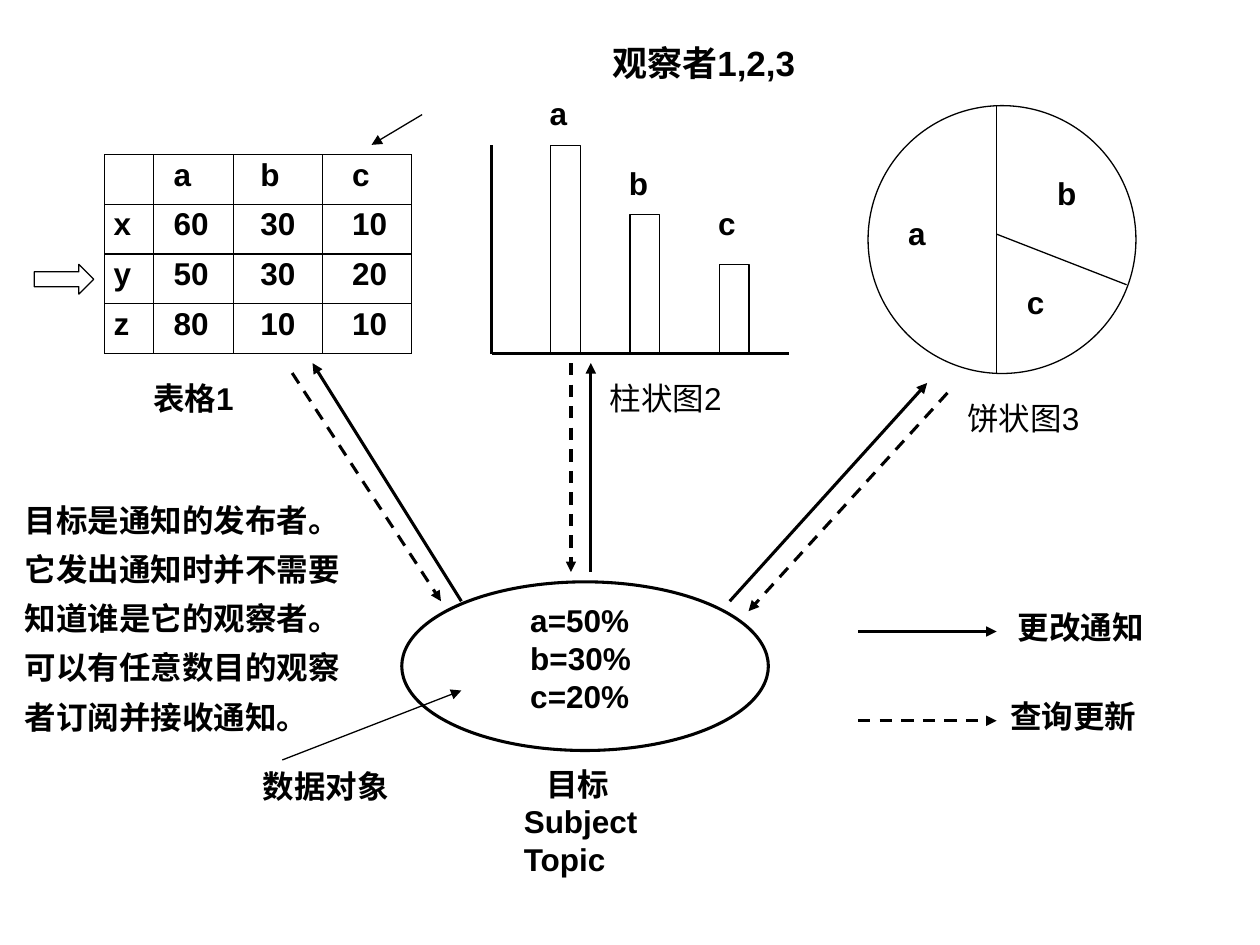
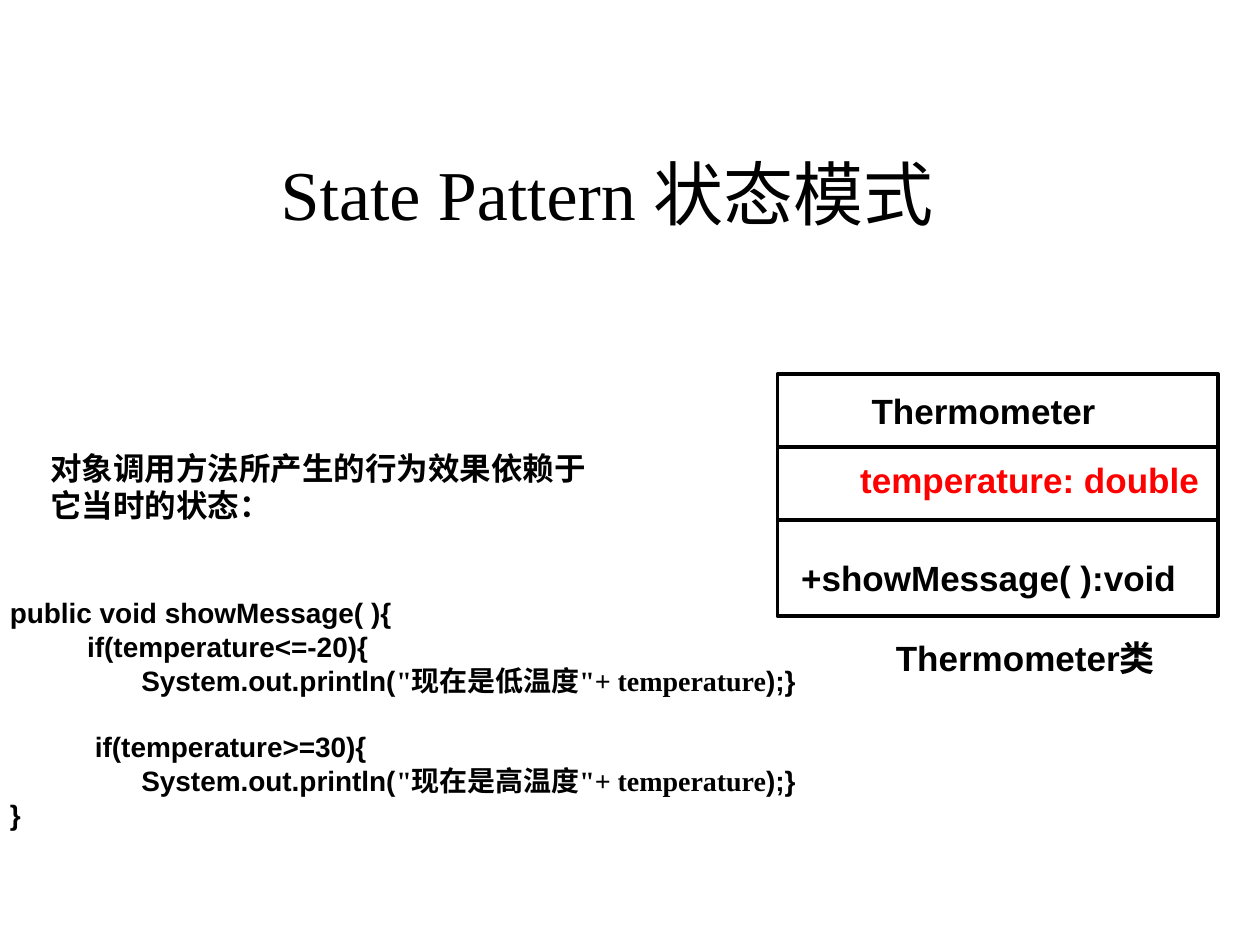
import dataclasses

import lxml.etree
import pptx
import pptx.dml.color
import pptx.enum.dml
import pptx.enum.shapes
import pptx.enum.text
import pptx.oxml.ns
import pptx.util

Cm = pptx.util.Cm
Pt = pptx.util.Pt
qn = pptx.oxml.ns.qn
Preset = pptx.enum.shapes.MSO_SHAPE


@dataclasses.dataclass(frozen=True)
class Theme:
    ink = pptx.dml.color.RGBColor(0x00, 0x00, 0x00)
    paper = pptx.dml.color.RGBColor(0xFF, 0xFF, 0xFF)
    accent = pptx.dml.color.RGBColor(0xFF, 0x00, 0x00)
    sans = "Arial"
    serif = "Times New Roman"
    title = 40
    heading = 20
    body = 18
    code = 16
    thin = 0.75
    bold = 1.75
    frame = 2
    divider = 2.25


theme = Theme()


def write_text(page, text, left, top, width, height=1.02, size=theme.body,
               bold=True, color=theme.ink, font=theme.sans, wrap=False):
    box = page.shapes.add_textbox(Cm(left), Cm(top), Cm(width), Cm(height))
    frame = box.text_frame
    frame.text = text
    frame.word_wrap = wrap
    frame.auto_size = pptx.enum.text.MSO_AUTO_SIZE.SHAPE_TO_FIT_TEXT
    for para in frame.paragraphs:
        for span in para.runs:
            span.font.size = Pt(size)
            span.font.bold = bold
            span.font.name = font
            span.font.color.rgb = color
    return frame


def draw_line(page, start, end, weight=theme.thin, arrow=False, dashed=False):
    line = page.shapes.add_connector(
        pptx.enum.shapes.MSO_CONNECTOR.STRAIGHT, *map(Cm, start + end))
    line.line.color.rgb = theme.ink
    line.line.width = Pt(weight)
    if dashed:
        line.line.dash_style = pptx.enum.dml.MSO_LINE.DASH
    properties = line._element.spPr
    if arrow:
        outline = properties.find(qn("a:ln"))
        lxml.etree.SubElement(outline, qn("a:tailEnd"), type="triangle")
    lxml.etree.SubElement(properties, qn("a:effectLst"))


deck = pptx.Presentation()
deck.slide_width = Cm(25.4)
deck.slide_height = Cm(19.05)
observer_page = deck.slides.add_slide(deck.slide_layouts[6])
state_page = deck.slides.add_slide(deck.slide_layouts[6])

bar_base = 7.13
bars = [
    ("a", 11.1, 4.2, 1.78),
    ("b", 12.7, 2.8, 3.18),
    ("c", 14.5, 1.8, 3.99),
]
outlines = [
    (observer_page, Preset.RIGHT_ARROW, 0.69, 5.33, 1.2, 0.6, theme.thin),
    (observer_page, Preset.OVAL, 17.5, 2.13, 5.4, 5.4, theme.thin),
    (observer_page, Preset.OVAL, 8.1, 11.73, 7.39, 3.4, theme.bold),
    (state_page, Preset.RECTANGLE, 15.67, 7.54, 8.89, 4.88, theme.frame),
]
for label, left, height, label_top in bars:
    outlines.append((observer_page, Preset.RECTANGLE, left, bar_base - height,
                     0.6, height, theme.thin))
    write_text(observer_page, label, left - 0.27, label_top, 0.86)
for page, preset, left, top, width, height, weight in outlines:
    shape = page.shapes.add_shape(preset, Cm(left), Cm(top), Cm(width), Cm(height))
    shape.shadow.inherit = False
    shape.fill.solid()
    shape.fill.fore_color.rgb = theme.paper
    shape.line.color.rgb = theme.ink
    shape.line.width = Pt(weight)

table_rows = [
    ["", "a", "b", "c"],
    ["x", "60", "30", "10"],
    ["y", "50", "30", "20"],
    ["z", "80", "10", "10"],
]
column_widths = [0.99, 1.6, 1.8, 1.8]
column_margins = [0.18, 0.4, 0.55, 0.6]
table = observer_page.shapes.add_table(
    4, 4, Cm(2.11), Cm(3.12), Cm(sum(column_widths)), Cm(4)).table
table.first_row = False
table.horz_banding = False
for column, width in zip(table.columns, column_widths):
    column.width = Cm(width)
for row, texts in zip(table.rows, table_rows):
    row.height = Cm(1)
    for cell, text, margin in zip(row.cells, texts, column_margins):
        cell.text_frame.text = text
        cell.margin_left = Cm(margin)
        cell.margin_top = Cm(0.06)
        cell.margin_right = cell.margin_bottom = 0
        for side in ("lnL", "lnR", "lnT", "lnB"):
            border = lxml.etree.SubElement(
                cell._tc.get_or_add_tcPr(), qn("a:" + side), w=str(Pt(theme.thin)))
            fill = lxml.etree.SubElement(border, qn("a:solidFill"))
            lxml.etree.SubElement(fill, qn("a:srgbClr"), val=str(theme.ink))
        cell.fill.background()
        for span in cell.text_frame.paragraphs[0].runs:
            span.font.size = Pt(theme.body)
            span.font.bold = True
            span.font.name = theme.sans
            span.font.color.rgb = theme.ink

axis_origin = (9.91, bar_base)
draw_line(observer_page, axis_origin, (15.9, bar_base), theme.frame)
draw_line(observer_page, (9.91, 2.93), axis_origin, theme.frame)
draw_line(observer_page, (20.09, 2.13), (20.09, 7.52))
draw_line(observer_page, (20.09, 4.72), (22.71, 5.74))
for label, left, top in [("a", 18.06, 4.19), ("b", 21.06, 3.38), ("c", 20.45, 5.59)]:
    write_text(observer_page, label, left, top, 0.86)

notify_arrows = [
    ((9.3, 12.12), (6.3, 7.32)),
    ((11.91, 11.53), (11.91, 7.32)),
    ((14.71, 12.12), (18.69, 7.72)),
    ((17.3, 12.73), (20.09, 12.73)),
]
query_arrows = [
    ((5.89, 7.52), (8.89, 12.12)),
    ((11.51, 7.32), (11.51, 11.53)),
    ((19.1, 7.92), (15.09, 12.32)),
    ((17.3, 14.53), (20.09, 14.53)),
]
for arrows, dashed in [(notify_arrows, False), (query_arrows, True)]:
    for start, end in arrows:
        draw_line(observer_page, start, end, theme.bold, arrow=True, dashed=dashed)
draw_line(observer_page, (5.69, 15.32), (9.3, 13.92), arrow=True)
draw_line(observer_page, (8.51, 2.31), (7.49, 2.92), arrow=True)

write_text(observer_page, "观察者1,2,3", 12.09, 0.71, 5.36, 1.12,
           size=theme.heading, wrap=True)
write_text(observer_page, "表格1", 2.84, 7.52, 2.29)
write_text(observer_page, "柱状图2", 12.04, 7.52, 2.92, bold=False)
write_text(observer_page, "饼状图3", 19.25, 7.92, 2.92, bold=False)
write_text(observer_page, "更改通知", 20.27, 12.14, 3.05)
write_text(observer_page, "查询更新", 20.12, 13.92, 3.05)
write_text(observer_page, "数据对象", 5.05, 15.34, 3.86, wrap=True)
write_text(observer_page, "a=50%\nb=30%\nc=20%", 10.44, 11.99, 2.54, 2.54)
subject = write_text(observer_page, "目标\nSubject\nTopic", 10.31, 15.29, 3.2, 2.54,
                     wrap=True)
subject.paragraphs[0]._p.get_or_add_pPr().set("marL", str(Cm(0.45)))
explanation = write_text(
    observer_page,
    "目标是通知的发布者。\n它发出通知时并不需要\n知道谁是它的观察者。\n"
    "可以有任意数目的观察\n者订阅并接收通知。",
    0.25, 9.75, 6.86, 5.21)
for para in explanation.paragraphs:
    para.line_spacing = 1.3

write_text(state_page, "State Pattern 状态模式", 5.41, 2.92, 14, 3.66,
           size=theme.title, bold=False, font=theme.serif)
for divider_top in (9.02, 10.49):
    draw_line(state_page, (15.67, divider_top), (24.56, divider_top), theme.divider)
for text, left, top, width, color in [
    ("Thermometer", 17.32, 7.72, 5.5, theme.ink),
    ("temperature: double", 17.09, 9.12, 7.8, theme.accent),
    ("+showMessage( ):void", 15.9, 11.1, 8.6, theme.ink),
    ("Thermometer类", 17.81, 12.7, 6.5, theme.ink),
]:
    write_text(state_page, text, left, top, width, 1.12, size=theme.heading,
               color=color, wrap=True)
write_text(state_page, "对象调用方法所产生的行为效果依赖于\n它当时的状态：",
           0.76, 8.92, 11.3, 1.78)

code_lines = [
    "public void showMessage( ){",
    "          if(temperature<=-20){",
    "                 System.out.println(",
    "           if(temperature>=30){",
    "                 System.out.println(",
    "}",
]
code = write_text(state_page, "\n".join(code_lines), -0.05, 11.89, 16.61, 5,
                  size=theme.code)
code.paragraphs[3].space_before = Pt(19)
for index, message in [(2, '"现在是低温度"+ temperature'), (4, '"现在是高温度"+ temperature')]:
    for text, font in [(message, theme.serif), (");}", theme.sans)]:
        span = code.paragraphs[index].add_run()
        span.text = text
        span.font.size = Pt(theme.code)
        span.font.bold = True
        span.font.name = font
        span.font.color.rgb = theme.ink

deck.save("out.pptx")
